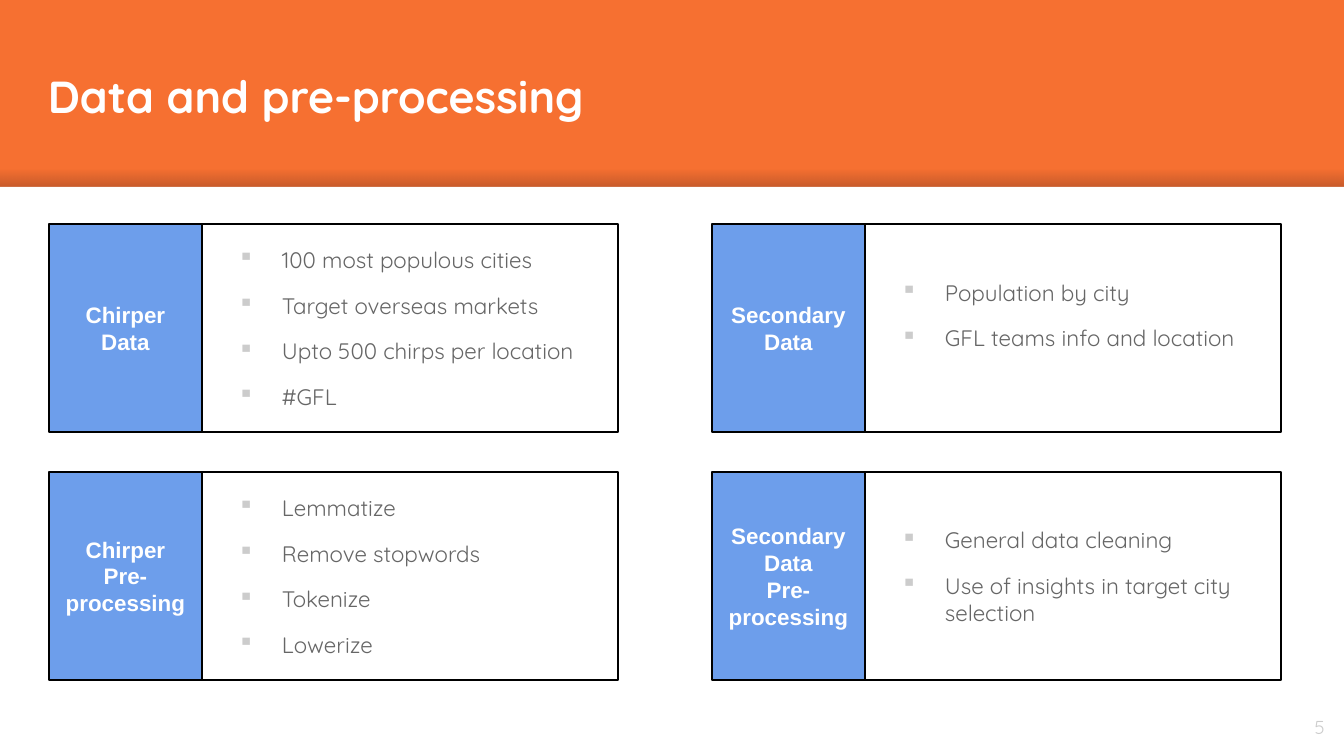
from lxml import etree
from pptx import Presentation
from pptx.dml.color import RGBColor
from pptx.enum.shapes import MSO_SHAPE
from pptx.enum.text import MSO_ANCHOR, PP_ALIGN
from pptx.oxml.ns import qn
from pptx.util import Emu, Pt

ORANGE = RGBColor(0xF6, 0x70, 0x31)
BLUE = RGBColor(0x6D, 0x9E, 0xEB)
WHITE = RGBColor(0xFF, 0xFF, 0xFF)
BLACK = RGBColor(0, 0, 0)
SHADE = RGBColor(0, 0, 0x14)
GREY = RGBColor(0x66, 0x66, 0x66)
PALE = RGBColor(0xCC, 0xCC, 0xCC)
PX = 9144000 / 1344


def px(n):
    return Emu(round(n * PX))


def add_box(x, y, w, h, lines, font, size, color, bold=False, align=PP_ALIGN.LEFT, fill=None, line=None, bullet=False):
    s = slide.shapes.add_shape(MSO_SHAPE.RECTANGLE, px(x), px(y), px(w), px(h))
    s.shadow.inherit = False
    for part, c in ((s.fill, fill), (s.line.fill, line)):
        if c is None:
            part.background()
        else:
            part.solid()
            part.fore_color.rgb = c
    if line is not None:
        s.line.width = Pt(0.75)
    tf = s.text_frame
    tf.word_wrap = True
    tf.vertical_anchor = MSO_ANCHOR.MIDDLE
    tf.margin_left = tf.margin_right = tf.margin_top = tf.margin_bottom = px(13)
    tf.text = "\n".join(lines)
    for i, p in enumerate(tf.paragraphs):
        p.alignment = align
        if bullet:
            if i:
                p.space_before = Pt(10)
            pPr = p._p.get_or_add_pPr()
            pPr.set("marL", str(px(67)))
            pPr.set("indent", str(-px(44)))
            clr = etree.SubElement(pPr, qn("a:buClr"))
            etree.SubElement(clr, qn("a:srgbClr"), val=str(PALE))
            etree.SubElement(pPr, qn("a:buChar"), char="▪")
        for r in p.runs:
            r.font.name = font
            r.font.size = Pt(size)
            r.font.bold = bold
            r.font.color.rgb = color
    return s


prs = Presentation()
prs.slide_width = px(1344)
prs.slide_height = px(756)
slide = prs.slides.add_slide(prs.slide_layouts[6])
slide.background.fill.solid()
slide.background.fill.fore_color.rgb = ORANGE

band = add_box(0, 170, 1344, 17, [], "Quicksand", 12, WHITE)
band.fill.gradient()
band.fill.gradient_angle = 90
for stop, position, alpha in zip(band.fill.gradient_stops, (0, 1), (20000, 0)):
    stop.position = position
    stop.color.rgb = SHADE
for clr, alpha in zip(band._element.spPr.iter(qn("a:srgbClr")), (20000, 0)):
    etree.SubElement(clr, qn("a:alpha"), val=str(alpha))

add_box(0, 187, 1344, 569, [], "Quicksand", 12, WHITE, fill=WHITE)
add_box(35, 27, 1275, 138, ["Data and pre-processing"], "Quicksand", 24, WHITE, bold=True)
add_box(1258, 698, 80, 58, ["5"], "Quicksand", 10, PALE, align=PP_ALIGN.RIGHT)

CARDS = [
    (0, 0, ["Chirper", "Data"],
     ["100 most populous cities", "Target overseas markets", "Upto 500 chirps per location", "#GFL"], 13),
    (1, 0, ["Secondary", "Data"],
     ["Population by city", "GFL teams info and location"], 39),
    (0, 1, ["Chirper", "Pre-", "processing"],
     ["Lemmatize", "Remove stopwords", "Tokenize", "Lowerize"], 13),
    (1, 1, ["Secondary Data", "Pre-", "processing"],
     ["General data cleaning", "Use of insights in target city selection"], 13),
]
for col, row, label, items, bottom in CARDS:
    x, y = 49 + 663 * col, 224 + 248 * row
    body = add_box(x + 153, y, 416, 208, items, "Quicksand", 12, GREY, line=BLACK, bullet=True)
    body.text_frame.margin_bottom = px(bottom)
    add_box(x, y, 153, 208, label, "Arial", 12, WHITE, bold=True, align=PP_ALIGN.CENTER, fill=BLUE, line=BLACK)

prs.save("out.pptx")
